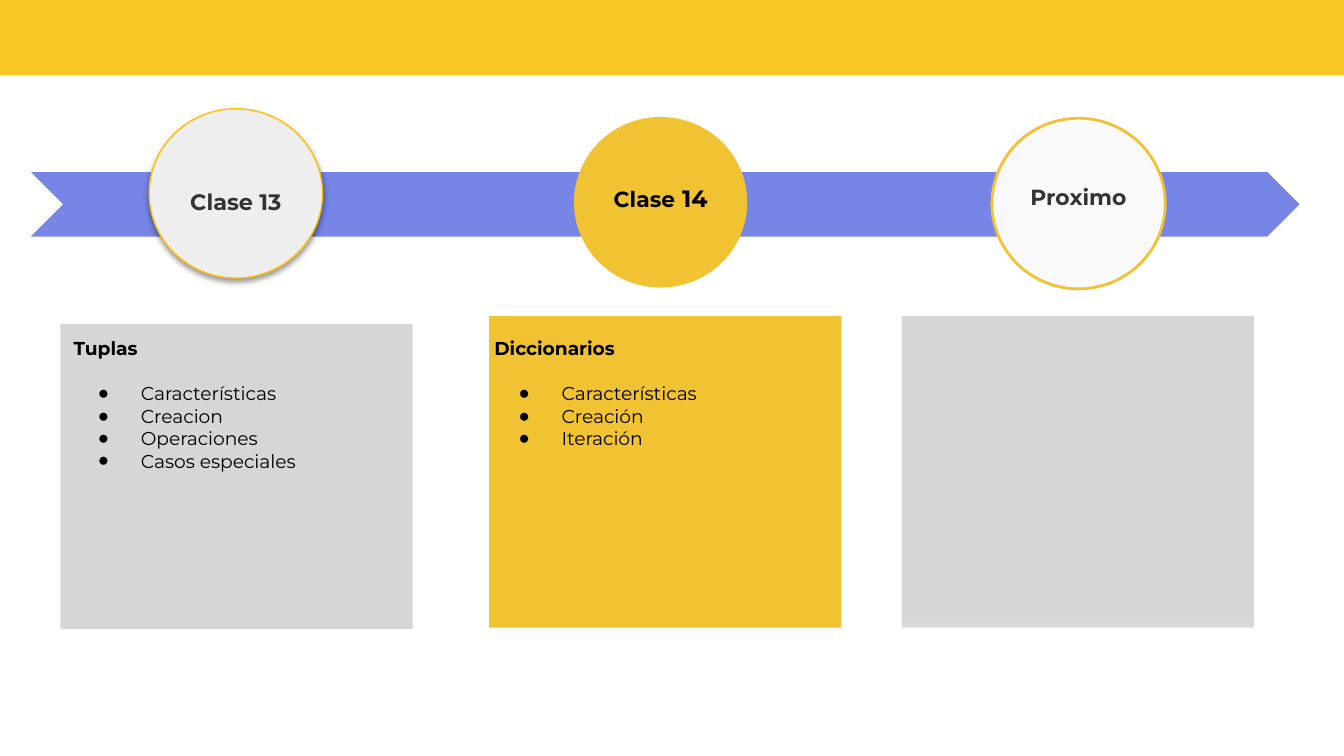
from lxml import etree
from pptx import Presentation
from pptx.dml.color import RGBColor
from pptx.enum.shapes import MSO_SHAPE
from pptx.enum.text import MSO_ANCHOR, PP_ALIGN
from pptx.oxml.ns import qn
from pptx.util import Emu, Inches, Pt

CHEVRON = MSO_SHAPE.CHEVRON
ELLIPSE = MSO_SHAPE.OVAL
RECTANGLE = MSO_SHAPE.RECTANGLE
TOP = MSO_ANCHOR.TOP
LEFT = PP_ALIGN.LEFT
CENTER = PP_ALIGN.CENTER

SLIDE_WIDTH = Inches(10)
SLIDE_HEIGHT = Emu(SLIDE_WIDTH * 9 // 16)
CELL = SLIDE_WIDTH / 100
FONT = "Montserrat"
BULLET_FONT = "Arial"
BLACK, DARK = "000000", "333333"
GOLD, GRAY = "F1C232", "D6D6D6"

CIRCLE_WIDTH = 12.9
LABEL_WIDTH, LABEL_HEIGHT = 10, 3.3
CARD_WIDTH, CARD_HEIGHT, CARD_TOP = 26.2, 22.7, 24.1
BACKING_TOP, BACKING_HEIGHT = 23.5, 23.2
LAST_CARD_LEFT = 67.1


def color(hex_code):
    return RGBColor.from_string(hex_code)


def grid(*cells):
    return [Emu(round(cell * CELL)) for cell in cells]


def add_block(slide, kind, area, fill, outline=None, outline_width=0):
    block = slide.shapes.add_shape(kind, *grid(*area))
    block.shadow.inherit = False
    block.fill.solid()
    block.fill.fore_color.rgb = color(fill)
    if outline:
        block.line.color.rgb = color(outline)
        block.line.width = Pt(outline_width)
    else:
        block.line.fill.background()
    return block


def add_soft_shadow(block):
    effects = block._element.spPr.find(qn("a:effectLst"))
    shadow = etree.SubElement(
        effects, qn("a:outerShdw"), blurRad=str(Pt(3.1)), dist=str(Pt(1.6)),
        dir="5400000", algn="t", rotWithShape="0")
    tint = etree.SubElement(shadow, qn("a:srgbClr"), val=BLACK)
    etree.SubElement(tint, qn("a:alpha"), val="38000")


def prepare_frame(holder):
    frame = holder.text_frame
    frame.word_wrap = True
    frame.vertical_anchor = TOP
    frame.margin_left = frame.margin_right = Inches(0.1)
    frame.margin_top = frame.margin_bottom = Inches(0.1)
    return frame


def add_run(paragraph, words, size, ink=BLACK, bold=True):
    run = paragraph.add_run()
    run.text = words
    run.font.name = FONT
    run.font.size = Pt(size)
    run.font.bold = bold
    run.font.color.rgb = color(ink)


def add_bullet(paragraph):
    properties = paragraph._p.get_or_add_pPr()
    properties.set("marL", str(Inches(0.5)))
    properties.set("indent", str(Inches(-0.32)))
    bullet_color = etree.SubElement(properties, qn("a:buClr"))
    etree.SubElement(bullet_color, qn("a:srgbClr"), val=BLACK)
    etree.SubElement(properties, qn("a:buFont"), typeface=BULLET_FONT)
    etree.SubElement(properties, qn("a:buChar"), char="●")


def add_label(slide, circle_left, top, ink, runs):
    left = circle_left + (CIRCLE_WIDTH - LABEL_WIDTH) / 2
    label = slide.shapes.add_textbox(*grid(left, top, LABEL_WIDTH, LABEL_HEIGHT))
    paragraph = prepare_frame(label).paragraphs[0]
    paragraph.alignment = CENTER
    for words, size in runs:
        add_run(paragraph, words, size, ink)


def write_topics(holder, heading, topics):
    frame = prepare_frame(holder)
    title = frame.paragraphs[0]
    title.alignment = LEFT
    add_run(title, heading, 10)
    for index, topic in enumerate(topics):
        item = frame.add_paragraph()
        item.alignment = LEFT
        if index == 0:
            item.space_before = Pt(12)
        add_bullet(item)
        add_run(item, topic, 10, bold=False)


def main():
    deck = Presentation()
    deck.slide_width, deck.slide_height = SLIDE_WIDTH, SLIDE_HEIGHT
    slide = deck.slides.add_slide(deck.slide_layouts[6])

    add_block(slide, CHEVRON, (2.3, 12.8, 94.4, 4.8), "7685E6")
    add_block(slide, ELLIPSE, (42.7, 8.7, CIRCLE_WIDTH, 12.7), GOLD)
    add_block(slide, ELLIPSE, (73.8, 8.8, CIRCLE_WIDTH, 12.7), "F9F9F9", GOLD, 1.5)
    for left, fill in ((36.4, GOLD), (LAST_CARD_LEFT, "D9D9D9")):
        add_block(slide, RECTANGLE, (left, BACKING_TOP, CARD_WIDTH, BACKING_HEIGHT), fill)
    add_block(slide, RECTANGLE, (-0.1, -0.5, 100.3, 6.1), "F8C823")

    add_label(slide, 42.7, 12.7, BLACK, [("Clase", 11.7), (" 14", 12.6)])
    add_label(slide, 73.8, 12.7, DARK, [("Proximo", 11.7)])

    tuples_card = add_block(slide, RECTANGLE, (4.5, CARD_TOP, CARD_WIDTH, CARD_HEIGHT), GRAY)
    write_topics(tuples_card, "Tuplas",
                 ["Características", "Creacion", "Operaciones", "Casos especiales"])

    previous_class = add_block(
        slide, ELLIPSE, (11.1, 8.1, CIRCLE_WIDTH, 12.6), "EEEEEE", "FFC000", 0.75)
    add_soft_shadow(previous_class)
    add_label(slide, 11.1, 13, DARK, [("Clase 13", 12)])

    dictionaries = slide.shapes.add_textbox(*grid(35.8, CARD_TOP, CARD_WIDTH, CARD_HEIGHT))
    write_topics(dictionaries, "Diccionarios", ["Características", "Creación", "Iteración"])
    add_block(slide, RECTANGLE, (LAST_CARD_LEFT, 23.6, CARD_WIDTH, CARD_HEIGHT), GRAY)

    deck.save("out.pptx")


if __name__ == "__main__":
    main()
